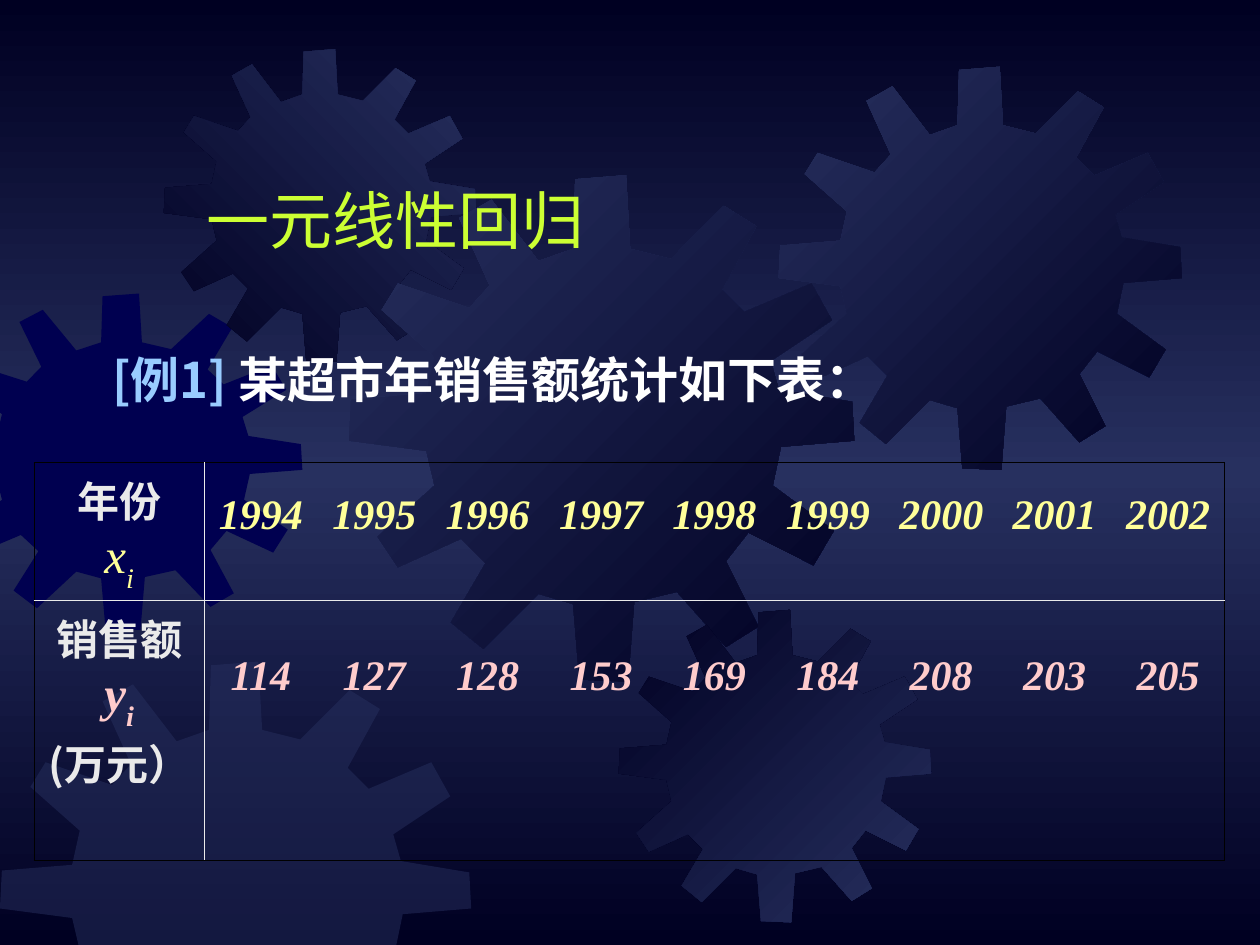
from lxml.etree import SubElement
from copy import deepcopy
from pptx import Presentation
from pptx.dml.color import RGBColor
from pptx.enum.text import MSO_ANCHOR, MSO_AUTO_SIZE, PP_ALIGN
from pptx.oxml.ns import qn
from pptx.util import Inches, Pt

NAVY = RGBColor(0x00, 0x00, 0x22)
SLATE = RGBColor(0x27, 0x30, 0x5F)
DEEP_BLUE = RGBColor(0x00, 0x00, 0x50)
LIME = RGBColor(0xCC, 0xFF, 0x33)
SKY = RGBColor(0x99, 0xCC, 0xFF)
WHITE = RGBColor(0xFF, 0xFF, 0xFF)
PALE = RGBColor(0xEA, 0xEA, 0xEA)
YELLOW = RGBColor(0xFF, 0xFF, 0x99)
PINK = RGBColor(0xFF, 0xCC, 0xCC)
BLACK = RGBColor(0x00, 0x00, 0x00)
SANS, SERIF = "Noto Sans CJK SC", "Times New Roman"
NO_GRID_STYLE = "{2D5ABB26-0587-4C30-8999-92F81FD0307C}"
SLIDE_W, SLIDE_H = 10, 7.5

# Gear outline on a square grid of GEAR_GRID units
GEAR_GRID = 248
GEAR = [
    (158, 41), (138, 36), (136, 0), (111, 2), (110, 36), (93, 42), (70, 12), (54, 21),
    (69, 54), (59, 65), (24, 53), (16, 66), (42, 89), (38, 107), (1, 110), (0, 130),
    (38, 135), (42, 152), (14, 177), (24, 192), (55, 178), (67, 190), (50, 219), (66, 232),
    (93, 205), (110, 210), (113, 247), (137, 248), (140, 209), (161, 204), (185, 231), (201, 221),
    (185, 189), (196, 175), (228, 191), (238, 174), (208, 152), (212, 133), (248, 130), (247, 111),
    (211, 105), (207, 91), (237, 71), (227, 53), (194, 67), (183, 56), (200, 25), (184, 15),
]

YEARS = range(1994, 2003)
SALES = [114, 127, 128, 153, 169, 184, 208, 203, 205]


def clip(points, axis, limit, sign):
    """Keep the part of a polygon where sign * (coordinate - limit) >= 0."""
    kept = []
    for a, b in zip(points, points[1:] + points[:1]):
        da, db = (sign * (pt[axis] - limit) for pt in (a, b))
        if da >= 0:
            kept.append(a)
        if da * db < 0:
            t = da / (da - db)
            kept.append(tuple(u + t * (v - u) for u, v in zip(a, b)))
    return kept


class Deck:
    def __init__(self):
        self.prs = Presentation()
        self.prs.slide_width, self.prs.slide_height = Inches(SLIDE_W), Inches(SLIDE_H)
        self.slide = self.prs.slides.add_slide(self.prs.slide_layouts[1])

    def gradient(self, fill, start, end, angle):
        fill.gradient()
        fill.gradient_angle = angle
        for stop, color in zip(fill.gradient_stops, (start, end)):
            stop.color.rgb = color

    def background(self):
        self.gradient(self.slide.background.fill, NAVY, SLATE, 270)
        stops = self.slide.element.find(".//" + qn("a:gsLst"))
        stops[1].set("pos", "50000")
        last = deepcopy(stops[0])
        last.set("pos", "100000")
        stops.append(last)

    def gear(self, x, y, w, h, colors, angle=315, alpha=None):
        points = [(x + px * w / GEAR_GRID, y + py * h / GEAR_GRID) for px, py in GEAR]
        points = clip(clip(points, 0, 0, 1), 1, SLIDE_H, -1)
        points = [(Inches(px), Inches(py)) for px, py in points]
        builder = self.slide.shapes.build_freeform(*points[0])
        builder.add_line_segments(points[1:])
        sp = builder.convert_to_shape()
        sp.shadow.inherit = False
        sp.line.fill.background()
        if len(colors) == 2:
            self.gradient(sp.fill, *colors, angle)
        else:
            sp.fill.solid()
            sp.fill.fore_color.rgb = colors[0]
        if alpha:
            color = sp.element.spPr.find(".//" + qn("a:srgbClr"))
            SubElement(color, qn("a:alpha")).set("val", str(alpha * 1000))

    def run(self, p, text, size, color, font=SANS, bold=False, italic=False, sub=False):
        r = p.add_run()
        r.text = text
        f = r.font
        f.name, f.size, f.bold, f.italic = font, Pt(size), bold, italic
        f.color.rgb = color
        rPr = f._element
        SubElement(rPr, qn("a:ea")).set("typeface", SANS)
        if sub:
            rPr.set("baseline", "-30000")

    def placeholder(self, idx, x, y, w, h, tab=None):
        """Move a placeholder to the front and return its plain first paragraph."""
        sp = self.slide.placeholders[idx]
        self.slide.shapes._spTree.append(sp.element)
        sp.left, sp.top, sp.width, sp.height = map(Inches, (x, y, w, h))
        tf = sp.text_frame
        tf.word_wrap, tf.auto_size = True, MSO_AUTO_SIZE.NONE
        tf.vertical_anchor = MSO_ANCHOR.MIDDLE
        p = tf.paragraphs[0]
        p.alignment, p.space_before = PP_ALIGN.LEFT, Pt(0)
        pPr = p._p.get_or_add_pPr()
        pPr.set("marL", "0")
        pPr.set("indent", "0")
        SubElement(pPr, qn("a:buNone"))
        if tab:
            stop = SubElement(SubElement(pPr, qn("a:tabLst")), qn("a:tab"))
            stop.set("pos", str(Inches(tab)))
            stop.set("algn", "l")
        return p

    def borders(self, cell, **colors):
        tcPr = cell._tc.get_or_add_tcPr()
        for side in "LRTB":
            ln = SubElement(tcPr, qn("a:ln" + side))
            if colors.get(side):
                ln.set("w", str(Pt(0.45)))
                fill = SubElement(ln, qn("a:solidFill"))
                SubElement(fill, qn("a:srgbClr")).set("val", str(colors[side]))
            else:
                SubElement(ln, qn("a:noFill"))

    def table(self, x, y, col_widths, row_heights):
        rows, cols = len(row_heights), len(col_widths)
        box = map(Inches, (x, y, sum(col_widths), sum(row_heights)))
        table = self.slide.shapes.add_table(rows, cols, *box).table
        table.first_row = table.horz_banding = False
        table._tbl.tblPr.find(qn("a:tableStyleId")).text = NO_GRID_STYLE
        for col, width in zip(table.columns, col_widths):
            col.width = Inches(width)
        for row, height in zip(table.rows, row_heights):
            row.height = Inches(height)
        for i in range(rows):
            for j in range(cols):
                cell = table.cell(i, j)
                self.borders(
                    cell,
                    L=(BLACK, PALE)[j] if j < 2 else None,
                    R=PALE if j == 0 else BLACK if j == cols - 1 else None,
                    T=PALE if i else BLACK,
                    B=BLACK if i == rows - 1 else PALE,
                )
                cell.fill.background()
                cell.text_frame.paragraphs[0].alignment = PP_ALIGN.CENTER
        return table

    def data_row(self, table, row, values, color, spacing):
        for j, value in enumerate(values, 1):
            p = table.cell(row, j).text_frame.paragraphs[0]
            p.line_spacing = spacing
            self.run(p, str(value), 24, color, SERIF, bold=True, italic=True)

    def variable(self, p, name, color, bold):
        """Add a variable with the subscript i."""
        self.run(p, name, 28, color, SERIF, bold, italic=True)
        self.run(p, "i", 28, color, SERIF, bold, italic=True, sub=True)


def main():
    deck = Deck()
    deck.background()
    deck.gear(-0.47, 2.33, 2.87, 2.67, [DEEP_BLUE])
    deck.gear(1.3, 0.39, 2.48, 2.48, [NAVY, SLATE], angle=45)
    deck.gear(2.77, 1.39, 4.01, 4.02, [SLATE, NAVY])
    deck.gear(0, 5.25, 3.74, 3.74, [SLATE], alpha=50)
    deck.gear(4.91, 4.84, 2.48, 2.48, [NAVY, SLATE])
    deck.gear(6.18, 0.53, 3.2, 3.2, [SLATE, NAVY])

    p = deck.placeholder(0, 1.54, 1.39, 3.31, 0.7)
    deck.run(p, "一元线性回归", 36, LIME)
    p = deck.placeholder(1, 0.79, 2.72, 6.5, 0.57, tab=1.46)
    deck.run(p, "[例1]\t", 28, SKY, bold=True)
    deck.run(p, "某超市年销售额统计如下表：", 28, WHITE, bold=True)

    table = deck.table(0.27, 3.67, [1.35] + [0.9] * len(SALES), [1.05, 1.85])
    deck.data_row(table, 0, YEARS, YELLOW, 1.5)
    deck.data_row(table, 1, SALES, PINK, 2.0)
    year, sales = (table.cell(i, 0).text_frame for i in range(2))
    deck.run(year.paragraphs[0], "年份", 24, PALE, SERIF, bold=True)
    deck.run(sales.paragraphs[0], "销售额", 24, PALE, SERIF, bold=True)
    deck.variable(sales.paragraphs[0], "y", PINK, bold=True)
    for tf in (year, sales):
        tf.add_paragraph().alignment = PP_ALIGN.CENTER
    deck.variable(year.paragraphs[1], "x", YELLOW, bold=False)
    deck.run(sales.paragraphs[1], "(万元）", 24, PALE, bold=True)
    deck.prs.save("out.pptx")


if __name__ == "__main__":
    main()
